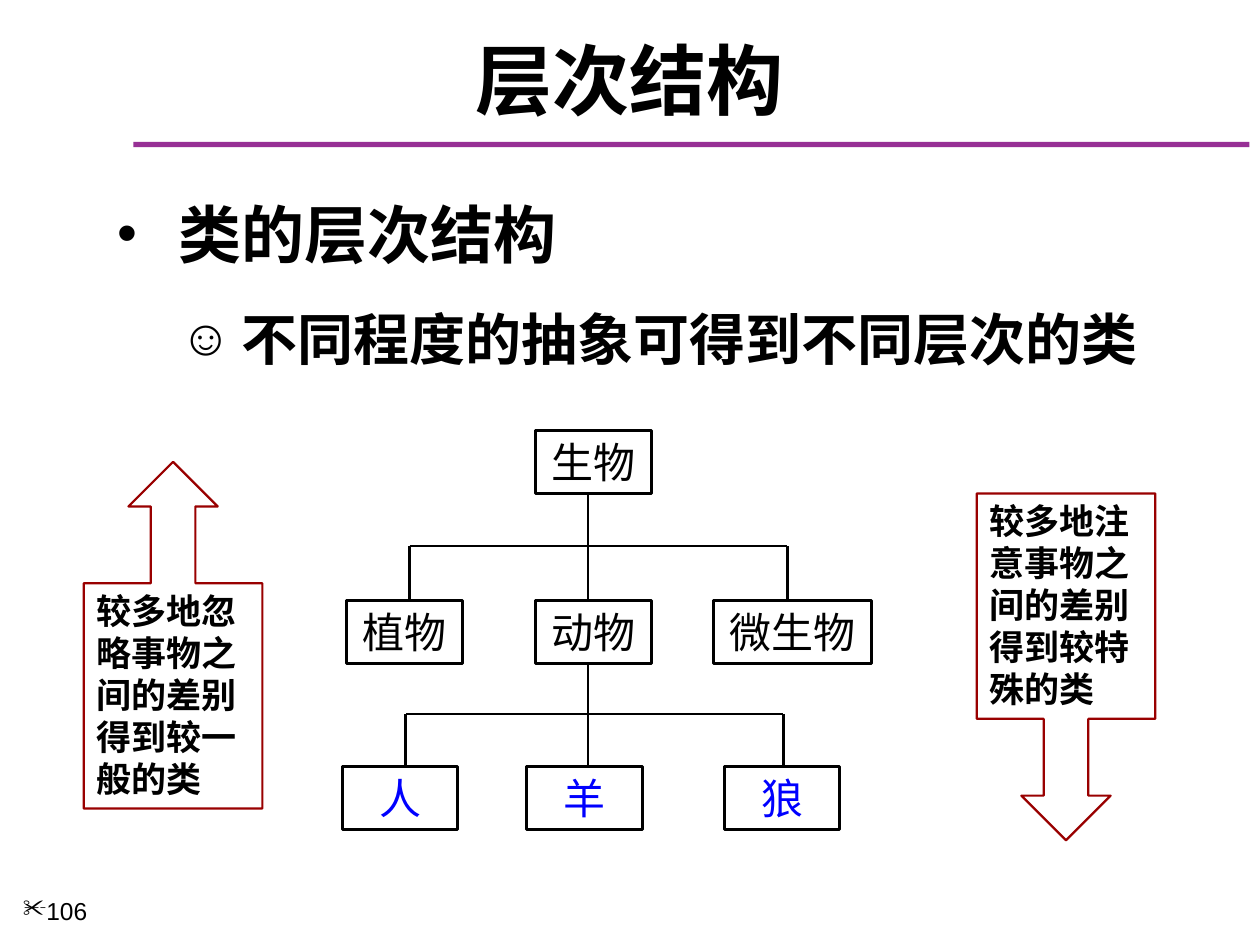
"""Build the slide on class hierarchy with its tree and two callouts."""
from dataclasses import dataclass

from lxml.etree import SubElement as SubEl
from pptx import Presentation
from pptx.dml.color import RGBColor
from pptx.enum.shapes import MSO_CONNECTOR as Link, MSO_SHAPE as Form
from pptx.enum.text import MSO_ANCHOR as Anchor, PP_ALIGN as Align
from pptx.oxml.ns import qn
from pptx.util import Cm, Pt

BLACK = RGBColor(0, 0, 0)
BLUE = RGBColor(0, 0, 255)
RED = RGBColor(0x99, 0, 0)
PURPLE = RGBColor(0x97, 0x30, 0x95)
HAN = "Noto Sans CJK SC"
LATIN = "Arial"
SYMBOL = "OpenSymbol"


@dataclass
class Node:
    text: str
    left: float
    top: float
    width: float = 2.33
    color: RGBColor = BLACK


@dataclass
class Fork:
    top: float
    bar: float
    foot: float
    stems: tuple[float, float, float]


@dataclass
class Callout:
    text: str
    form: Form
    left: float
    top: float


@dataclass
class Item:
    text: str
    size: float
    mark: str
    level: int
    margin: float
    before: float


NODES = [
    Node("生物", 10.8, 8.68),
    Node("植物", 6.99, 12.11),
    Node("动物", 10.8, 12.11),
    Node("微生物", 14.39, 12.11, 3.18),
    Node("人", 6.9, 15.45, color=BLUE),
    Node("羊", 10.62, 15.45, color=BLUE),
    Node("狼", 14.6, 15.45, color=BLUE),
]
FORKS = [
    Fork(9.93, 11.01, 12.11, (8.26, 11.85, 15.87)),
    Fork(13.38, 14.39, 15.49, (8.18, 11.85, 15.79)),
]
CALLOUTS = [
    Callout("较多地忽略事物之间的差别得到较一般的类", Form.UP_ARROW_CALLOUT, 1.69, 9.31),
    Callout("较多地注意事物之间的差别得到较特殊的类", Form.DOWN_ARROW_CALLOUT, 19.69, 9.95),
]
ITEMS = [
    Item("类的层次结构", 36, "•", 0, 1.24, 0),
    Item("不同程度的抽象可得到不同层次的类", 32, "☺", 1, 2.51, 19.2),
]


def style(para, size: float, face: str, color: RGBColor = BLACK, bold: bool = False) -> None:
    for run in para.runs:
        font = run.font
        font.size, font.name, font.bold = Pt(size), face, bold
        font.color.rgb = color
        if face == HAN:
            SubEl(run._r.get_or_add_rPr(), qn("a:ea"), typeface=face)


def mark(para, char: str, scale: int, face: str) -> None:
    props = para._p.get_or_add_pPr()
    SubEl(props, qn("a:buSzPct"), val=str(scale * 1000))
    SubEl(props, qn("a:buFont"), typeface=face)
    SubEl(props, qn("a:buChar"), char=char)


def add_text(slide, left: float, top: float, width: float, height: float):
    frame = slide.shapes.add_textbox(Cm(left), Cm(top), Cm(width), Cm(height)).text_frame
    frame.word_wrap = True
    return frame


def add_frame(slide, form: Form, place: tuple, color: RGBColor, weight: float, text: str):
    shape = slide.shapes.add_shape(form, *map(Cm, place))
    shape.shadow.inherit = False
    shape.fill.background()
    shape.line.color.rgb = color
    shape.line.width = Pt(weight)
    frame = shape.text_frame
    frame.text = text
    frame.word_wrap = True
    frame.vertical_anchor = Anchor.TOP
    return frame.paragraphs[0]


def add_node(slide, node: Node) -> None:
    place = (node.left, node.top, node.width, 1.27)
    para = add_frame(slide, Form.RECTANGLE, place, BLACK, 1.5, node.text)
    para.alignment = Align.CENTER
    style(para, 24, LATIN, node.color)


def add_callout(slide, call: Callout) -> None:
    place = (call.left, call.top, 3.6, 6.99)
    para = add_frame(slide, call.form, place, RED, 1.25, call.text)
    para.alignment = Align.LEFT
    style(para, 20, HAN, bold=True)


def add_line(slide, *ends: float) -> None:
    line = slide.shapes.add_connector(Link.STRAIGHT, *map(Cm, ends))
    line.line.color.rgb = BLACK
    line.line.width = Pt(1.5)
    SubEl(line._element.spPr, qn("a:effectLst"))


def add_fork(slide, fork: Fork) -> None:
    first, trunk, last = fork.stems
    add_line(slide, first, fork.bar, last, fork.bar)
    add_line(slide, trunk, fork.top, trunk, fork.bar)
    for stem in fork.stems:
        add_line(slide, stem, fork.bar, stem, fork.foot)


def add_title(slide) -> None:
    rule = slide.shapes.add_shape(Form.RECTANGLE, Cm(2.69), Cm(2.86), Cm(22.5), Cm(0.11))
    rule.shadow.inherit = False
    rule.fill.solid()
    rule.fill.fore_color.rgb = PURPLE
    rule.line.fill.background()
    frame = add_text(slide, 0.42, 0.64, 24.56, 1.9)
    frame.text = "层次结构"
    frame.vertical_anchor = Anchor.MIDDLE
    para = frame.paragraphs[0]
    para.alignment = Align.CENTER
    style(para, 44, HAN, bold=True)


def add_list(slide) -> None:
    frame = add_text(slide, 2.11, 3.81, 21.38, 13.76)
    for spot, item in enumerate(ITEMS):
        para = frame.add_paragraph() if spot else frame.paragraphs[0]
        para.text = item.text
        para.level = item.level
        para.space_before = Pt(item.before)
        props = para._p.get_or_add_pPr()
        props.set("marL", str(Cm(item.margin)))
        props.set("indent", str(-Cm(1.24)))
        mark(para, item.mark, 90, LATIN)
        style(para, item.size, HAN, bold=True)


def add_number(slide) -> None:
    frame = add_text(slide, 0.21, 17.93, 2.75, 1.12)
    frame.text = "106"
    para = frame.paragraphs[0]
    mark(para, "✂", 100, SYMBOL)
    style(para, 14, LATIN)


def main() -> None:
    deck = Presentation()
    deck.slide_width, deck.slide_height = Cm(25.4), Cm(19.05)
    slide = deck.slides.add_slide(deck.slide_layouts[6])
    add_title(slide)
    add_number(slide)
    add_list(slide)
    for node in NODES:
        add_node(slide, node)
    for fork in FORKS:
        add_fork(slide, fork)
    for call in CALLOUTS:
        add_callout(slide, call)
    deck.save("out.pptx")


if __name__ == "__main__":
    main()
